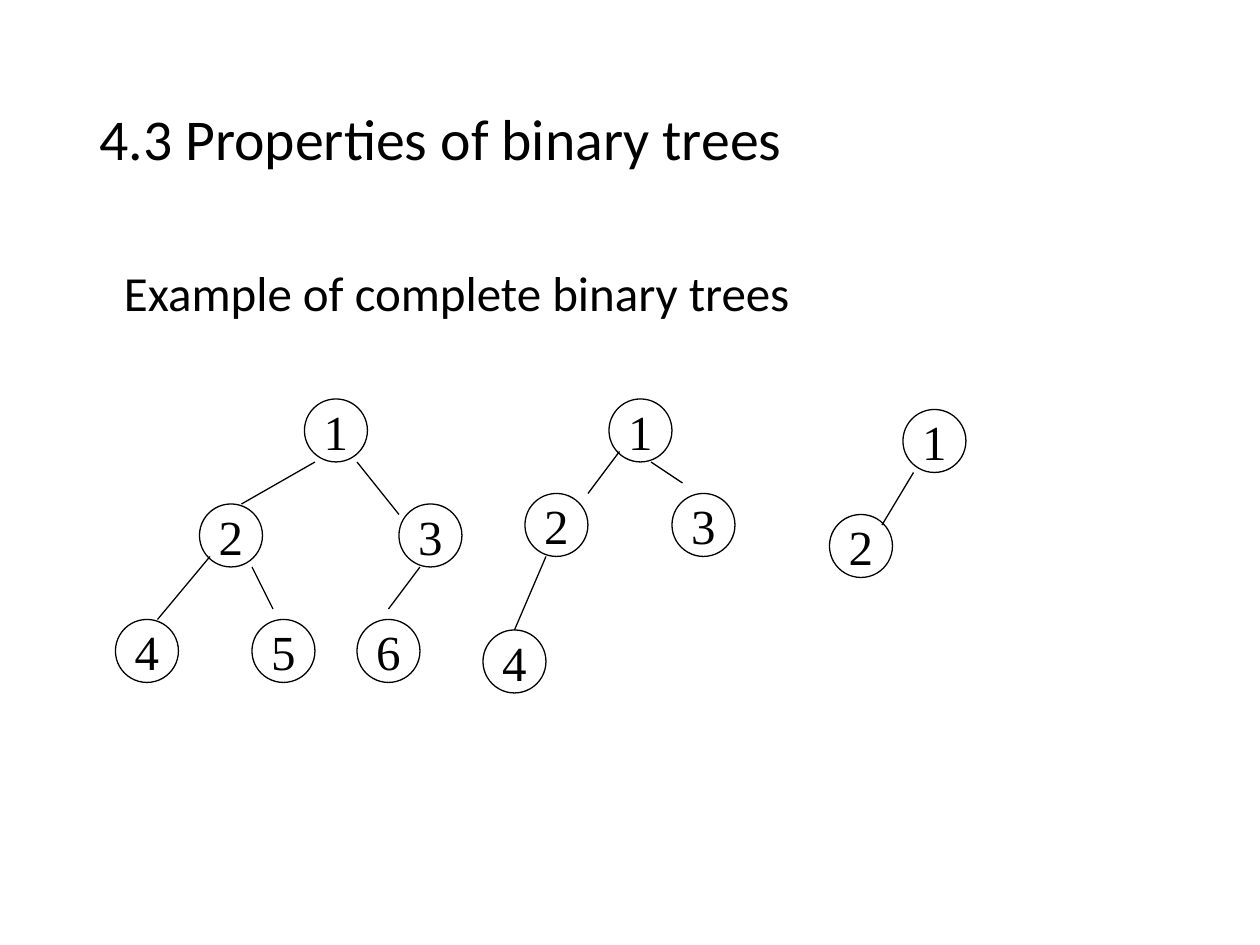
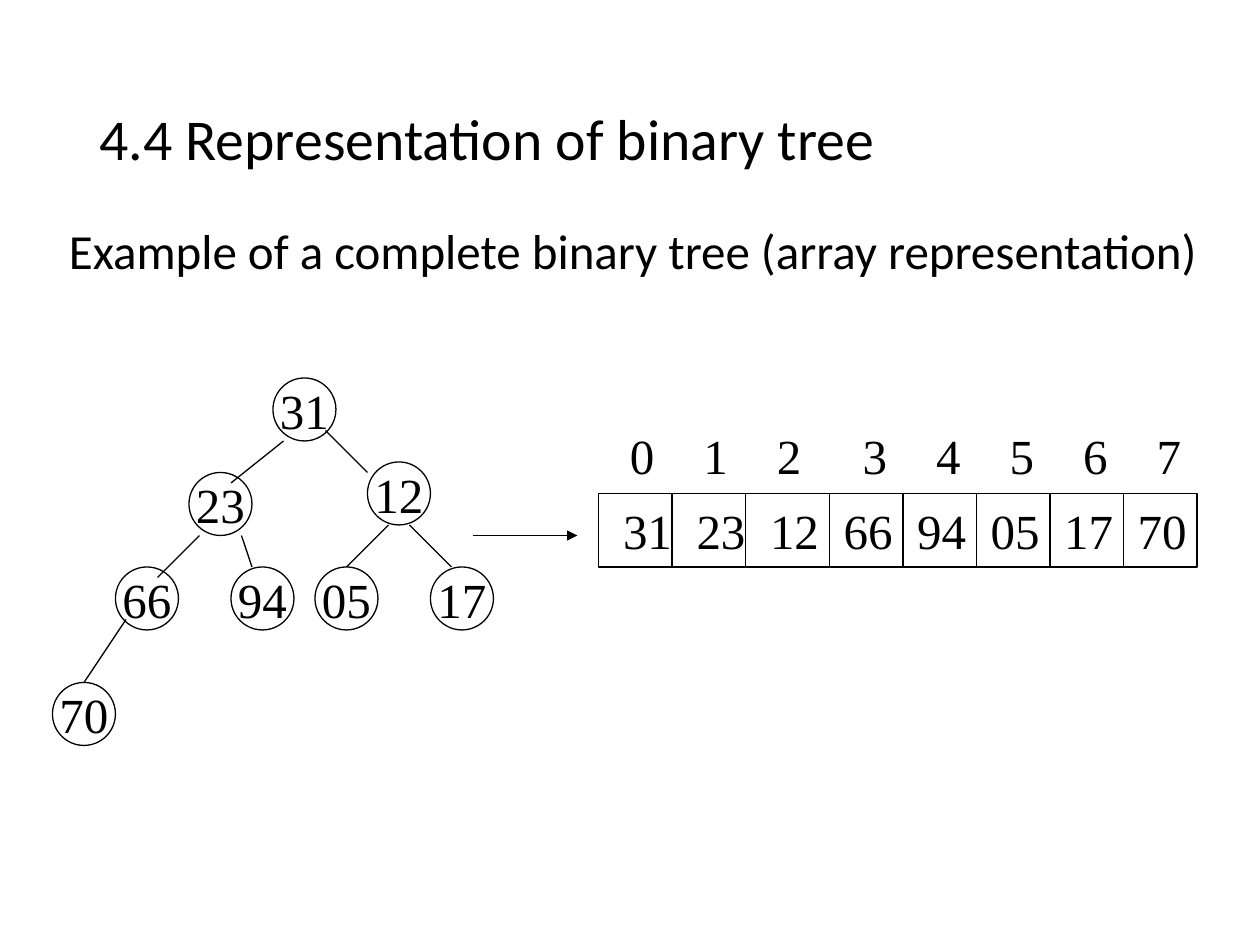
"""Build two slides on complete binary trees and their array form."""
from typing import NamedTuple

from lxml.etree import SubElement
from pptx import Presentation
from pptx.dml.color import RGBColor
from pptx.enum.shapes import MSO_CONNECTOR, MSO_SHAPE
from pptx.enum.text import MSO_ANCHOR, MSO_AUTO_SIZE, PP_ALIGN
from pptx.oxml.ns import qn
from pptx.util import Pt

BLACK = RGBColor(0, 0, 0)
SANS = "Calibri"
SERIF = "Times New Roman"
NODE = 36
CELL = 42
WIDE = 48


class Box(NamedTuple):
    """A frame in points."""

    left: float
    top: float
    width: float
    height: float


class Node(NamedTuple):
    """A tree node at its top left corner."""

    label: str
    left: float
    top: float


class Edge(NamedTuple):
    """A straight line between two points."""

    x1: float
    y1: float
    x2: float
    y2: float


class Tree(NamedTuple):
    """Nodes and the edges that join them."""

    nodes: list[Node]
    edges: list[Edge]


TITLE = Box(49.7, 28.8, 621.4, 104.4)
ARRAY = Box(342, 282, 342, CELL)
INDEX = Box(352.8, 239, 336, 41)

LARGE = Tree(
    [Node("1", 174, 228), Node("2", 114, 288), Node("3", 228, 288),
     Node("4", 66, 354), Node("5", 144, 354), Node("6", 204, 354)],
    [Edge(180, 264, 138, 288), Edge(204, 264, 228, 294), Edge(120, 318, 90, 354),
     Edge(144, 324, 156, 348), Edge(240, 324, 222, 348)],
)
MEDIUM = Tree(
    [Node("1", 348, 228), Node("2", 300, 282), Node("3", 384, 282), Node("4", 276, 360)],
    [Edge(354, 258, 336, 282), Edge(372, 264, 390, 276), Edge(312, 318, 294, 360)],
)
SMALL = Tree(
    [Node("1", 516, 234), Node("2", 474, 294)],
    [Edge(522, 270, 504, 300)],
)
HEAP = Tree(
    [Node("31", 156, 216), Node("23", 108, 270), Node("12", 210, 264),
     Node("66", 66, 324), Node("94", 132, 324), Node("05", 180, 324),
     Node("17", 246, 324), Node("70", 30, 390)],
    [Edge(162, 252, 132, 276), Edge(186, 246, 210, 270), Edge(114, 306, 90, 330),
     Edge(138, 306, 144, 324), Edge(222, 300, 198, 324), Edge(234, 300, 258, 324),
     Edge(72, 354, 48, 390)],
)


def place(shape, box: Box) -> None:
    """Move a shape to a frame."""
    shape.left, shape.top, shape.width, shape.height = map(Pt, box)


def write(shape, text: str, *, size: float = 28, font: str = SERIF,
          align=PP_ALIGN.LEFT, anchor=MSO_ANCHOR.MIDDLE, wrap: bool = True,
          pad: tuple = (7.2, 3.6, 7.2, 3.6), spacing: float = 1, pitch: float = 0) -> None:
    """Put one formatted paragraph into a shape."""
    frame = shape.text_frame
    frame.auto_size = MSO_AUTO_SIZE.NONE
    frame.word_wrap = wrap
    frame.vertical_anchor = anchor
    (frame.margin_left, frame.margin_top,
     frame.margin_right, frame.margin_bottom) = map(Pt, pad)
    para = frame.paragraphs[0]
    props = para._p.get_or_add_pPr()
    props.set("marL", "0")
    props.set("indent", "0")
    if pitch:
        props.set("defTabSz", str(Pt(pitch)))
    SubElement(props, qn("a:buNone"))
    para.alignment = align
    para.line_spacing = spacing
    para.space_before = Pt(0)
    run = para.add_run()
    run.text = text
    run.font.name = font
    run.font.size = Pt(size)
    run.font.color.rgb = BLACK


def outline(slide, kind, box: Box):
    """Add an unfilled shape with a thin black line."""
    shape = slide.shapes.add_shape(kind, *map(Pt, box))
    shape.shadow.inherit = False
    shape.fill.background()
    shape.line.color.rgb = BLACK
    shape.line.width = Pt(0.75)
    return shape


def link(slide, edge: Edge, arrow: bool = False) -> None:
    """Draw a straight line, with an arrowhead if asked."""
    line = slide.shapes.add_connector(MSO_CONNECTOR.STRAIGHT, *map(Pt, edge))
    line.line.color.rgb = BLACK
    line.line.width = Pt(0.75)
    if arrow:
        SubElement(line.line._get_or_add_ln(), qn("a:tailEnd"), type="triangle")
    SubElement(line._element.spPr, qn("a:effectLst"))


def plant(slide, tree: Tree) -> None:
    """Draw a tree."""
    for node in tree.nodes:
        disc = outline(slide, MSO_SHAPE.OVAL, Box(node.left, node.top, NODE, NODE))
        write(disc, node.label, align=PP_ALIGN.CENTER, wrap=False, pad=(0, 0, 0, 0))
    for edge in tree.edges:
        link(slide, edge)


def start(deck, title: str, lead: str, frame: Box, inset: float):
    """Add a slide with its title and lead line."""
    slide = deck.slides.add_slide(deck.slide_layouts[1])
    head, body = slide.placeholders
    place(head, TITLE)
    write(head, title, size=33, font=SANS, spacing=0.9)
    place(body, frame)
    write(body, lead, font=SANS, spacing=0.9, anchor=MSO_ANCHOR.TOP,
          pad=(inset, 3.6, 0, 3.6))
    return slide


def tabulate(slide, values: list[str]) -> None:
    """Draw the array with its cell borders and indices."""
    count = len(values)
    row = outline(slide, MSO_SHAPE.RECTANGLE, ARRAY)
    write(row, "\t".join(values), pad=(14, 0, 0, 0), pitch=CELL)
    for k in range(1, count):
        x = ARRAY.left + CELL * k + (WIDE - CELL if k > 2 else 0)
        link(slide, Edge(x, ARRAY.top, x, ARRAY.top + ARRAY.height))
    marks = slide.shapes.add_textbox(*map(Pt, INDEX))
    digits = [f" {k}" if k > 2 else str(k) for k in range(count)]
    write(marks, "\t".join(digits), anchor=MSO_ANCHOR.TOP,
          pad=(7.2, 4, 0, 0), pitch=CELL)


def main() -> None:
    """Build and save the deck."""
    deck = Presentation()
    deck.slide_width, deck.slide_height = Pt(720), Pt(540)

    slide = start(deck, "4.3 Properties of binary trees",
                  "Example of complete binary trees", Box(54, 150, 612, 324), 16.8)
    for tree in (LARGE, MEDIUM, SMALL):
        plant(slide, tree)

    slide = start(deck, "4.4 Representation of binary tree",
                  "Example of a complete binary tree (array representation)",
                  Box(18, 126, 690, 372), 21.4)
    tabulate(slide, [node.label for node in HEAP.nodes])
    plant(slide, HEAP)
    link(slide, Edge(270, 306, 330, 306), arrow=True)

    deck.save("out.pptx")


if __name__ == "__main__":
    main()
